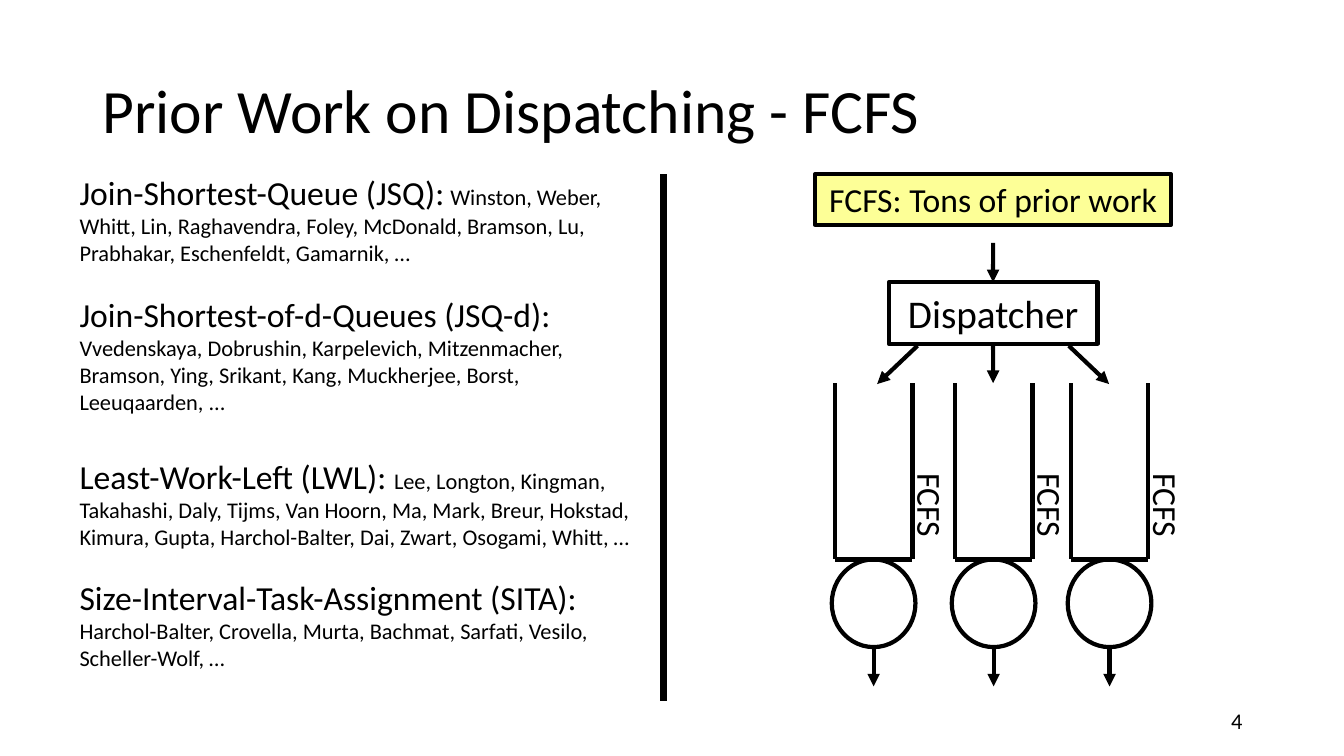
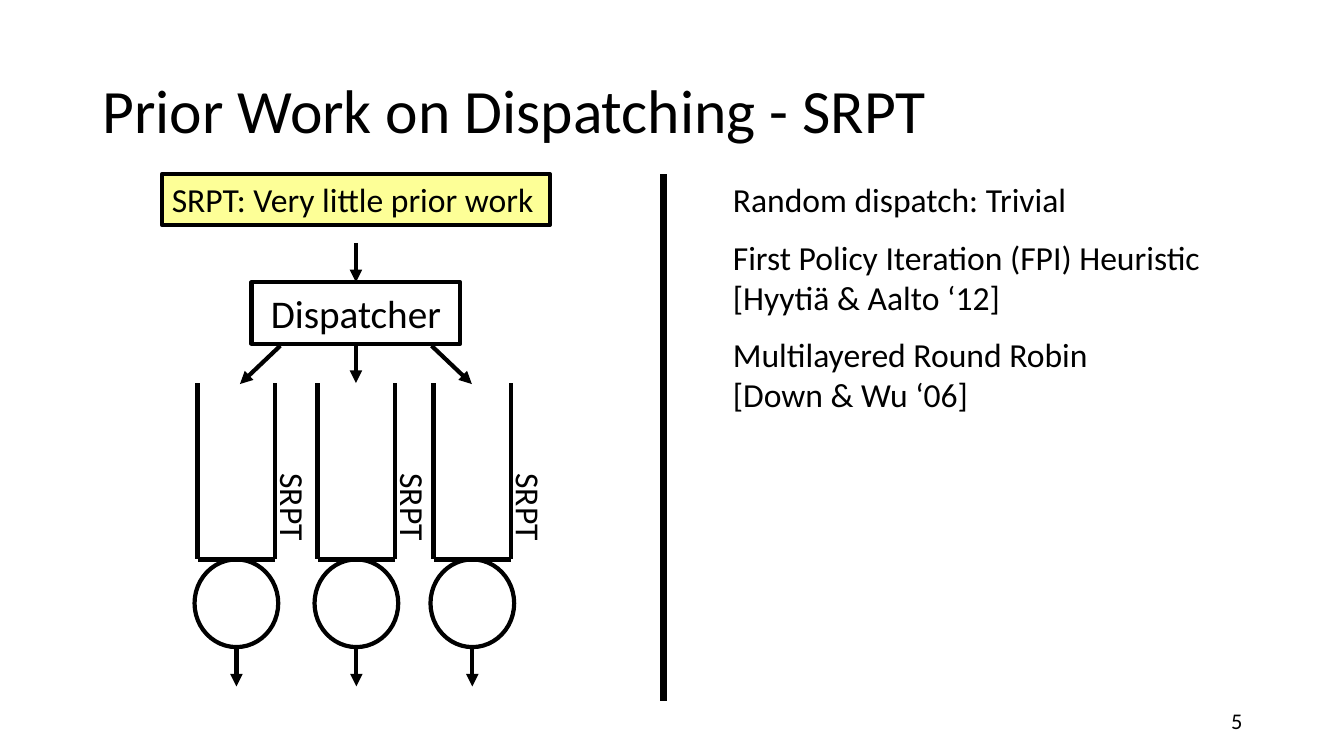
from lxml.etree import SubElement
from pptx import Presentation
from pptx.dml.color import RGBColor
from pptx.enum.shapes import MSO_CONNECTOR as CXN, MSO_SHAPE as SHAPE
from pptx.enum.text import MSO_ANCHOR as ANCHOR, PP_ALIGN as ALIGN
from pptx.oxml.ns import qn
from pptx.util import Inches, Pt

FONT = "Calibri"
BLACK = "000000"
YELLOW = "FDFF97"
LINE_PT = 3

POLICIES = [
    (0, [("Join-Shortest-Queue (JSQ):", 24), (" ", 18),
         ("Winston, Weber, Whitt, Lin, Raghavendra, Foley, McDonald, Bramson, Lu, "
          "Prabhakar, Eschenfeldt, Gamarnik, …", 16)]),
    (19.5, [("Join-Shortest-of-d-Queues (JSQ-d): ", 24),
            ("Vvedenskaya, Dobrushin, Karpelevich, Mitzenmacher, Bramson, Ying, "
             "Srikant, Kang, Muckherjee, Borst, Leeuqaarden, ...", 16)]),
    (29.3, [("Least-Work-Left (LWL): ", 24),
            ("Lee, Longton, Kingman, Takahashi, Daly, Tijms, Van Hoorn, Ma, Mark, "
             "Breur, Hokstad, Kimura, Gupta, Harchol-Balter, Dai, Zwart, Osogami, "
             "Whitt, …", 16)]),
    (19.5, [("Size-Interval-Task-Assignment (SITA):", 24)]),
    (0, [("Harchol-Balter, Crovella, Murta, Bachmat, Sarfati, Vesilo, "
          "Scheller-Wolf, …", 16)]),
]
RESULTS = [
    (0, [("Random dispatch: Trivial", 24)]),
    (12, [("First Policy Iteration (FPI) Heuristic\v[Hyytiä & Aalto ‘12]", 24)]),
    (12, [("Multilayered Round Robin\v[Down & Wu ‘06]", 24)]),
]


def rgb(value):
    """Turn a hex string into a colour."""
    return RGBColor.from_string(value)


def style(p, size):
    """Give every run of a paragraph the deck's font."""
    for r in p.runs:
        r.font.name, r.font.size = FONT, Pt(size)
        r.font.color.rgb = rgb(BLACK)


def write(sp, text, size, align=ALIGN.LEFT, anchor=ANCHOR.TOP):
    """Set one line of text in a shape."""
    tf = sp.text_frame
    tf.word_wrap, tf.vertical_anchor = True, anchor
    tf.text = text
    p = tf.paragraphs[0]
    p.alignment = align
    style(p, size)


def add_text(shapes, x, y, w, h, text, size, **kwargs):
    """Add a text box holding one line."""
    sp = shapes.add_textbox(Inches(x), Inches(y), Inches(w), Inches(h))
    write(sp, text, size, **kwargs)
    return sp


def add_box(shapes, kind, x, y, w, h, fill=None):
    """Add an outlined shape, filled or hollow."""
    sp = shapes.add_shape(kind, Inches(x), Inches(y), Inches(w), Inches(h))
    sp.shadow.inherit = False
    if fill:
        sp.fill.solid()
        sp.fill.fore_color.rgb = rgb(fill)
    else:
        sp.fill.background()
    sp.line.color.rgb, sp.line.width = rgb(BLACK), Pt(LINE_PT)
    return sp


def add_line(shapes, x1, y1, x2, y2, width=LINE_PT, arrow=False):
    """Add a straight line, with an arrowhead at its end if asked."""
    line = shapes.add_connector(CXN.STRAIGHT, Inches(x1), Inches(y1), Inches(x2), Inches(y2))
    line.line.color.rgb, line.line.width = rgb(BLACK), Pt(width)
    if arrow:
        SubElement(line.line._get_or_add_ln(), qn("a:tailEnd"), type="triangle")
    SubElement(line._element.spPr, qn("a:effectLst"))
    return line


def add_paragraphs(slide, x, y, w, h, paragraphs):
    """Add a column of paragraphs given as (space before, runs)."""
    tf = slide.shapes.add_textbox(Inches(x), Inches(y), Inches(w), Inches(h)).text_frame
    tf.word_wrap = True
    for i, (gap, parts) in enumerate(paragraphs):
        p = tf.add_paragraph() if i else tf.paragraphs[0]
        if gap:
            p.space_before = Pt(gap)
        if len(parts) == 1:
            p.text = parts[0][0]
            style(p, parts[0][1])
            continue
        for text, size in parts:
            r = p.add_run()
            r.text = text
            r.font.name, r.font.size = FONT, Pt(size)
            r.font.color.rgb = rgb(BLACK)


def add_queue(shapes, x, y, policy):
    """Draw one queue with its server, departure arrow and label."""
    w, h, server_w, server_h = 0.77, 1.75, 0.83, 0.87
    middle, bottom = x + w / 2, y + h
    add_line(shapes, x, y, x, bottom)
    add_line(shapes, x, bottom, x + w, bottom)
    add_line(shapes, x + w, y, x + w, bottom)
    add_box(shapes, SHAPE.OVAL, middle - server_w / 2, bottom, server_w, server_h)
    add_line(shapes, middle, bottom + server_h, middle, bottom + server_h + 0.39, arrow=True)
    add_text(shapes, x + 0.2, y + 1.3, 1.5, 0.5, policy, 24).rotation = 90


def add_system(slide, x, y, policy, note, note_w, note_align):
    """Draw the dispatcher, its three queues and the note above them."""
    shapes = slide.shapes.add_group_shape().shapes
    middle, top, w, h = x + 1.57, y + 1.07, 2.07, 0.61
    bottom = top + h
    dispatcher = add_box(shapes, SHAPE.RECTANGLE, middle - w / 2, top, w, h)
    write(dispatcher, "Dispatcher", 28, ALIGN.CENTER, ANCHOR.MIDDLE)
    arrival = add_line(shapes, middle, top - 0.39, middle, top, arrow=True)
    arrival.end_connect(dispatcher, 0)
    route = add_line(shapes, middle, bottom, middle, bottom + 0.39, arrow=True)
    route.begin_connect(dispatcher, 2)
    for side in (-1, 1):
        add_line(shapes, middle + side * 0.75, bottom + 0.02,
                 middle + side * 1.15, bottom + 0.4, arrow=True)
    for offset in (0, 1.19, 2.34):
        add_queue(shapes, x + offset, bottom + 0.39, policy)
    sp = add_box(shapes, SHAPE.RECTANGLE, middle - note_w / 2, y, note_w, 0.5, YELLOW)
    write(sp, note, 24, note_align)


def add_slide(prs, title, number):
    """Start a slide with the shared title, divider and number."""
    slide = prs.slides.add_slide(prs.slide_layouts[6])
    sp = add_text(slide.shapes, 0.92, 0.4, 11.5, 1.45, title, 44, anchor=ANCHOR.MIDDLE)
    sp.text_frame.paragraphs[0].line_spacing = 0.9
    add_text(slide.shapes, 9.42, 6.95, 3, 0.4, str(number), 16,
             align=ALIGN.RIGHT, anchor=ANCHOR.MIDDLE)
    add_line(slide.shapes, 6.58, 6.95, 6.58, 1.73, width=5)
    return slide


def fcfs_slide(prs):
    """Build the slide on first-come first-served dispatching."""
    slide = add_slide(prs, "Prior Work on Dispatching - FCFS", 4)
    add_paragraphs(slide, 0.69, 1.66, 5.69, 5.49, POLICIES)
    add_system(slide, 8.28, 1.73, "FCFS", "FCFS: Tons of prior work", 3.53, ALIGN.CENTER)


def srpt_slide(prs):
    """Build the slide on shortest-remaining-time dispatching."""
    slide = add_slide(prs, "Prior Work on Dispatching - SRPT", 5)
    add_paragraphs(slide, 7.17, 1.73, 5.82, 2.46, RESULTS)
    add_system(slide, 1.96, 1.73, "SRPT", "SRPT: Very little prior work", 3.85, ALIGN.LEFT)


def main():
    """Build and save the deck."""
    prs = Presentation()
    prs.slide_width, prs.slide_height = Inches(13.33), Inches(7.5)
    fcfs_slide(prs)
    srpt_slide(prs)
    prs.save("out.pptx")


if __name__ == "__main__":
    main()
